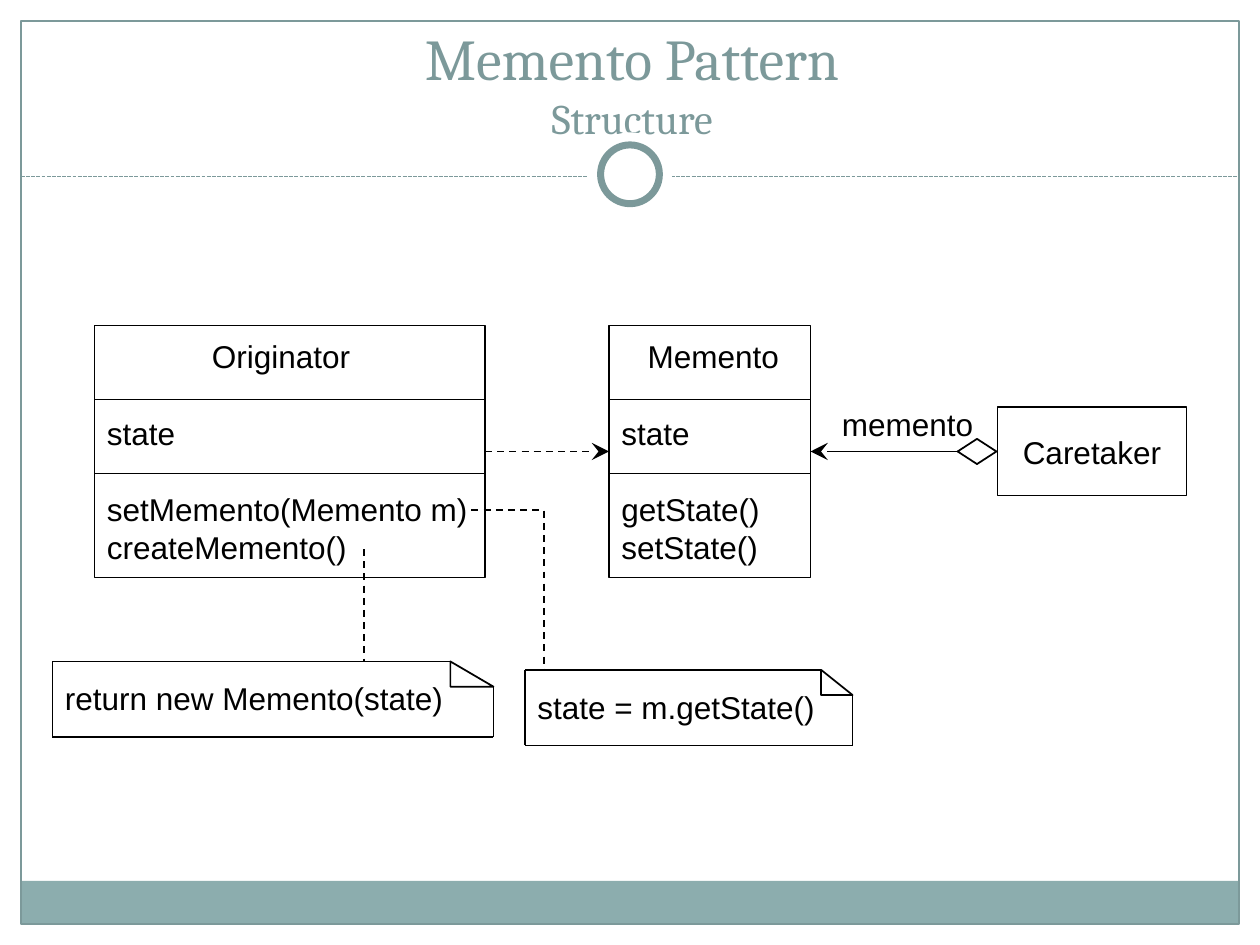
from dataclasses import dataclass

from lxml import etree
from pptx import Presentation
from pptx.dml.color import RGBColor
from pptx.enum.dml import MSO_LINE
from pptx.enum.shapes import MSO_CONNECTOR, MSO_SHAPE
from pptx.enum.text import MSO_ANCHOR, MSO_AUTO_SIZE, PP_ALIGN
from pptx.oxml.ns import qn
from pptx.util import Inches, Length, Pt

RECT, OVAL = MSO_SHAPE.RECTANGLE, MSO_SHAPE.OVAL
FOLD, GEM = MSO_SHAPE.RIGHT_TRIANGLE, MSO_SHAPE.DIAMOND
PLAIN, BENT = MSO_CONNECTOR.STRAIGHT, MSO_CONNECTOR.ELBOW
DASH, DOTS = MSO_LINE.DASH, MSO_LINE.SQUARE_DOT
TOP, MID, LOW = MSO_ANCHOR.TOP, MSO_ANCHOR.MIDDLE, MSO_ANCHOR.BOTTOM
LEFT, MIDST = PP_ALIGN.LEFT, PP_ALIGN.CENTER
FIXED = MSO_AUTO_SIZE.NONE
UNITS = 12  # grid cells per inch


@dataclass(frozen=True)
class Theme:
    """Colours, fonts and sizes of the slide."""
    ink: str = "000000"
    paper: str = "FFFFFF"
    teal: str = "7C999A"
    band: str = "8CADAE"
    head: str = "Cambria"
    body: str = "Arial"
    big: float = 33
    sub: float = 24
    base: float = 18
    gap: float = 22


@dataclass(frozen=True)
class Box:
    """A place on the grid, in cells."""
    x: float
    y: float
    w: float
    h: float


@dataclass(frozen=True)
class Class:
    """A class box: name with its indent, field and methods."""
    box: Box
    name: str
    indent: float
    field: str
    calls: tuple[str, ...]


@dataclass(frozen=True)
class Note:
    """A note with a folded corner."""
    box: Box
    fold: float
    text: str


THEME = Theme()
CLASSES = (
    Class(Box(9, 31, 37.2, 24), "Originator", 10, "state",
          ("setMemento(Memento m)", "createMemento()")),
    Class(Box(58, 31, 19.2, 24), "Memento", 2.5, "state",
          ("getState()", "setState()")),
)
NOTES = (
    Note(Box(5, 63, 42, 7.2), 4.1, "return new Memento(state)"),
    Note(Box(50, 63.8, 31.2, 7.2), 3, "state = m.getState()"),
)


def cell(count: float) -> Length:
    """Turn grid cells into a length."""
    return Inches(count / UNITS)


def tint(code: str) -> RGBColor:
    """Turn a hex code into a colour."""
    return RGBColor.from_string(code)


def put(shapes, kind, box: Box, fill=None, line=None, width=1.0):
    """Draw a preset shape."""
    shape = shapes.add_shape(kind, *map(cell, (box.x, box.y, box.w, box.h)))
    shape.shadow.inherit = False
    if fill:
        shape.fill.solid()
        shape.fill.fore_color.rgb = tint(fill)
    else:
        shape.fill.background()
    if line:
        shape.line.color.rgb = tint(line)
        shape.line.width = Pt(width)
    else:
        shape.line.fill.background()
    return shape


def link(shapes, start, end, kind=PLAIN, color=THEME.ink, width=1.0,
         dash=None, arrow=False):
    """Draw a line or an arrow between two grid points."""
    line = shapes.add_connector(kind, *map(cell, (*start, *end)))
    line.line.color.rgb = tint(color)
    line.line.width = Pt(width)
    if dash:
        line.line.dash_style = dash
    if arrow:
        etree.SubElement(line.line._get_or_add_ln(), qn("a:tailEnd"),
                         type="stealth", w="lg", len="lg")
    props = line._element.spPr
    etree.SubElement(props, qn("a:effectLst"))
    if kind == BENT:
        props.find(qn("a:prstGeom")).set("prst", "bentConnector2")
    return line


def say(par, text, size=THEME.base, font=THEME.body, color=THEME.ink,
        align=LEFT, indent=0.0, gap=0.0):
    """Add formatted text to a paragraph."""
    run = par.add_run()
    run.text = text
    run.font.size, run.font.name = Pt(size), font
    run.font.color.rgb = tint(color)
    par.alignment = align
    par.space_before = Pt(gap)
    if indent:
        par._p.get_or_add_pPr().set("marL", str(int(cell(indent))))


def label(shapes, box: Box, text: str):
    """Place a one-line text box."""
    frame = shapes.add_textbox(
        *map(cell, (box.x, box.y, box.w, box.h))).text_frame
    frame.word_wrap, frame.vertical_anchor = True, TOP
    say(frame.paragraphs[0], text)


def draw_class(shapes, item: Class):
    """Draw a class box with two dividers."""
    group, box = shapes.add_group_shape().shapes, item.box
    frame = put(group, RECT, box, line=THEME.ink).text_frame
    frame.word_wrap, frame.vertical_anchor = True, MID
    say(frame.paragraphs[0], item.name, indent=item.indent)
    for row, text in enumerate((item.field, *item.calls)):
        say(frame.add_paragraph(), text, gap=THEME.gap if row < 2 else 0)
    for step in (1, 2):
        y = box.y + step * 7.05
        link(group, (box.x, y), (box.x + box.w, y))


def draw_note(shapes, note: Note):
    """Draw a note: open outline, folded corner and text."""
    group, box, drop = shapes.add_group_shape().shapes, note.box, 2.4
    right, base = box.x + box.w, box.y + box.h
    bend = right - note.fold
    put(group, FOLD, Box(bend, box.y, note.fold, drop), line=THEME.ink)
    edge = ((bend, box.y), (box.x, box.y), (box.x, base), (right, base),
            (right, box.y + drop))
    for start, end in zip(edge, edge[1:]):
        link(group, start, end)
    label(group, Box(box.x, box.y + 1.1, bend - box.x + 2, 4.8), note.text)


def draw_frame(shapes):
    """Draw the border, the foot band and the ring."""
    put(shapes, RECT, Box(2, 83.9, 116, 4.1), fill=THEME.band)
    put(shapes, RECT, Box(2, 2, 116, 86), line=THEME.teal, width=0.75)
    link(shapes, (2, 16.8), (118, 16.8), color=THEME.teal, width=0.75,
         dash=DOTS)
    put(shapes, OVAL, Box(56, 12.6, 8, 8), fill=THEME.paper)
    put(shapes, OVAL, Box(57.2, 13.8, 5.6, 5.6), fill=THEME.paper,
        line=THEME.teal, width=4)


def draw_title(title):
    """Fill the title placeholder."""
    title.left, title.top, title.width, title.height = map(
        cell, (11, 1, 98.4, 13.2))
    frame = title.text_frame
    frame.auto_size, frame.vertical_anchor = FIXED, LOW
    par = frame.paragraphs[0]
    look = {"font": THEME.head, "color": THEME.teal, "align": MIDST}
    say(par, "Memento Pattern", size=THEME.big, **look)
    par.add_line_break()
    say(par, "Structure", size=THEME.sub, **look)


def main():
    """Build the slide and save it."""
    deck = Presentation()
    deck.slide_width, deck.slide_height = Inches(10), Inches(7.5)
    slide = deck.slides.add_slide(deck.slide_layouts[5])
    shapes = slide.shapes
    draw_title(shapes.title)
    draw_frame(shapes)
    for item in CLASSES:
        draw_class(shapes, item)
    for note in NOTES:
        draw_note(shapes, note)
    care = put(shapes, RECT, Box(95, 38.8, 18, 8.4), line=THEME.ink)
    care.text_frame.vertical_anchor = MID
    say(care.text_frame.paragraphs[0], "Caretaker", align=MIDST)
    put(shapes, GEM, Box(91.2, 41.8, 3.7, 2.4), line=THEME.ink)
    link(shapes, (91.2, 43), (77.2, 43), arrow=True)
    link(shapes, (46.2, 43), (58, 43), dash=DASH, arrow=True)
    link(shapes, (34.7, 52.3), (34.7, 63), dash=DASH)
    link(shapes, (44.9, 48.6), (51.8, 63.8), kind=BENT, dash=DASH)
    label(shapes, Box(79, 38, 15, 4.8), "memento")
    deck.save("out.pptx")


main()
